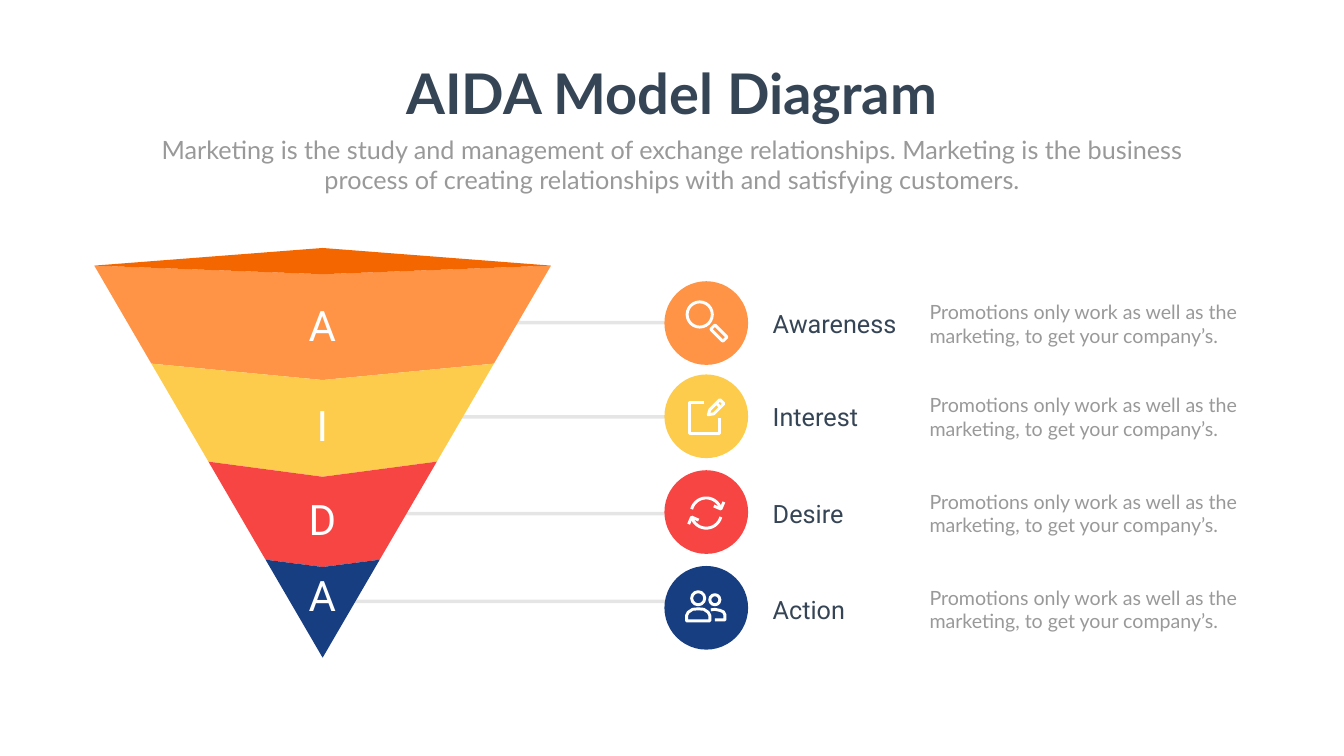
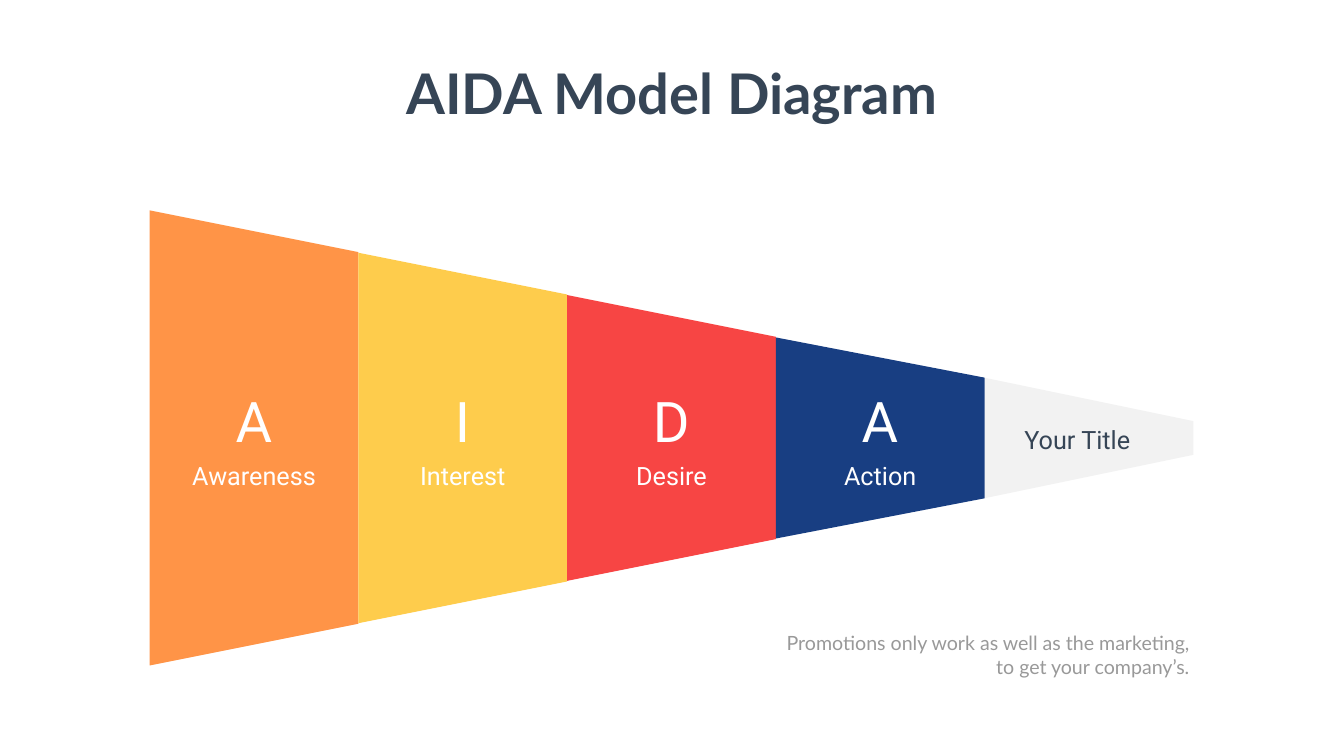
from dataclasses import dataclass
from math import cos, radians, sin
from typing import Callable

from lxml import etree
from pptx import Presentation
from pptx.dml.color import RGBColor
from pptx.enum.shapes import MSO_CONNECTOR, MSO_SHAPE
from pptx.enum.text import MSO_ANCHOR, MSO_AUTO_SIZE, PP_ALIGN
from pptx.oxml.ns import qn
from pptx.util import Inches, Pt

LEFT, CENTER, RIGHT = PP_ALIGN.LEFT, PP_ALIGN.CENTER, PP_ALIGN.RIGHT
TOP = MSO_ANCHOR.TOP
NO_AUTOFIT = MSO_AUTO_SIZE.NONE
OVAL = MSO_SHAPE.OVAL
ROUNDED = MSO_SHAPE.ROUNDED_RECTANGLE
TRAPEZOID = MSO_SHAPE.TRAPEZOID
STRAIGHT = MSO_CONNECTOR.STRAIGHT

# The slide is a grid of square cells, one inch to the side.
COLUMNS, ROWS = 26.66, 15
MIDDLE = COLUMNS / 2
TITLE_ONLY = 5


@dataclass(frozen=True)
class Theme:
    orange: str = "FF9447"
    dark_orange: str = "F46600"
    yellow: str = "FECC4C"
    red: str = "F74544"
    navy: str = "183E82"
    gray: str = "808080"
    ink: str = "364556"
    muted: str = "999999"
    white: str = "FFFFFF"
    heading_font: str = "Lato"
    label_font: str = "Roboto"
    title: int = 80
    letter: int = 60
    label: int = 36
    detail: int = 28
    leader_width: float = 5
    icon_width: float = 4.2


THEME = Theme()
TITLE = "AIDA Model Diagram"
INTRO = ("Marketing is the study and management of exchange relationships. Marketing is the "
         "business process of creating relationships with and satisfying customers.")
DETAIL = "Promotions only work as well as the marketing, to get your company’s."


def cells(count):
    return Inches(count)


def rgb(color):
    return RGBColor.from_string(color)


def set_opacity(shape, percent):
    for color in shape.element.iter(qn("a:srgbClr")):
        etree.SubElement(color, qn("a:alpha")).set("val", str(percent * 1000))


def paint(shape, color):
    shape.shadow.inherit = False
    shape.fill.solid()
    shape.fill.fore_color.rgb = rgb(color)
    shape.line.fill.background()


def outline(shape):
    """Leave only the white stroke that icons are drawn with."""
    shape.shadow.inherit = False
    shape.fill.background()
    shape.line.color.rgb = rgb(THEME.white)
    shape.line.width = Pt(THEME.icon_width)


def centered_shape(slide, kind, x, y, width, height):
    return slide.shapes.add_shape(kind, cells(x - width / 2), cells(y - height / 2),
                                  cells(width), cells(height))


def path_shape(slide, points, closed=True):
    corners = [(cells(x), cells(y)) for x, y in points]
    builder = slide.shapes.build_freeform(*corners[0])
    builder.add_line_segments(corners[1:], close=closed)
    return builder.convert_to_shape()


def style_text(frame, text, size, color, font, align):
    frame.text = text
    paragraph = frame.paragraphs[0]
    paragraph.alignment = align
    paragraph.font.size = Pt(size)
    paragraph.font.name = font
    paragraph.font.color.rgb = rgb(color)
    return paragraph


def add_text(slide, text, left, y, width, height, size, color,
             font=THEME.label_font, align=LEFT):
    """Add a text box whose vertical middle is at y."""
    box = slide.shapes.add_textbox(cells(left), cells(y - height / 2),
                                   cells(width), cells(height))
    box.text_frame.word_wrap = True
    style_text(box.text_frame, text, size, color, font, align)


def add_letter(slide, text, x, y, size):
    height = size / 60 + 0.11
    add_text(slide, text, x - 0.98, y, 1.95, height, size, THEME.white, align=CENTER)


def add_label(slide, text, left, y, color, align=LEFT):
    add_text(slide, text, left, y, 3.46, 0.71, THEME.label, color, align=align)


def add_detail(slide, left, y, width, align=LEFT):
    add_text(slide, DETAIL, left, y, width, 1.04, THEME.detail, THEME.muted,
             THEME.heading_font, align)


def titled_slide(deck):
    slide = deck.slides.add_slide(deck.slide_layouts[TITLE_ONLY])
    title = slide.shapes.title
    width = 10.94
    title.left, title.top = cells(MIDDLE - width / 2), cells(1.12)
    title.width, title.height = cells(width), cells(1.45)
    frame = title.text_frame
    frame.auto_size = NO_AUTOFIT
    frame.word_wrap = False
    frame.vertical_anchor = TOP
    style_text(frame, TITLE, THEME.title, THEME.ink,
               THEME.heading_font, CENTER).font.bold = True
    return slide


# Icons: all offsets are measured from the middle of the disc.

def add_ring(slide, x, y, radius):
    outline(centered_shape(slide, OVAL, x, y, 2 * radius, 2 * radius))


def add_stroke(slide, x, y, offsets, closed=False):
    outline(path_shape(slide, [(x + dx, y + dy) for dx, dy in offsets], closed))


def magnifier_icon(slide, x, y):
    add_ring(slide, x - 0.13, y - 0.17, 0.25)
    handle = centered_shape(slide, ROUNDED, x + 0.25, y + 0.2, 0.34, 0.12)
    handle.rotation = 45
    outline(handle)


def edit_icon(slide, x, y):
    page = [(-0.04, -0.27), (-0.34, -0.27), (-0.34, 0.35), (0.27, 0.35), (0.27, 0.04)]
    pencil = [(0.04, -0.03), (0.07, -0.13), (0.27, -0.33), (0.35, -0.25), (0.15, -0.05)]
    add_stroke(slide, x, y, page)
    add_stroke(slide, x, y, pencil, closed=True)
    add_stroke(slide, x, y, [(0.2, -0.26), (0.28, -0.18)])


def refresh_icon(slide, x, y):
    arc = [(0.3 * cos(radians(a)), 0.3 * sin(radians(a))) for a in range(195, 346, 10)]
    head = [(0.15, -0.14), (0.29, -0.08), (0.35, -0.22)]
    for turn in (1, -1):
        for offsets in (arc, head):
            add_stroke(slide, x, y + 0.02, [(turn * dx, turn * dy) for dx, dy in offsets])


def people_icon(slide, x, y):
    add_ring(slide, x - 0.16, y - 0.19, 0.13)
    add_ring(slide, x + 0.17, y - 0.16, 0.1)
    half = [(0.23, 0.26), (0.23, 0.15), (0.2, 0.09), (0.11, 0.03), (0, 0.02)]
    front = [(-dx, dy) for dx, dy in half] + half[-2::-1]
    back = [(0.09, 0.04), (0.17, 0.03), (0.27, 0.05), (0.34, 0.08),
            (0.37, 0.14), (0.37, 0.24), (0.17, 0.24)]
    add_stroke(slide, x - 0.16, y, front, closed=True)
    add_stroke(slide, x, y, back)


@dataclass(frozen=True)
class Stage:
    letter: str
    name: str
    color: str
    icon: Callable
    letter_y: float
    leader_y: float
    disc_y: float
    label_y: float


STAGES = [
    Stage("A", "Awareness", THEME.orange, magnifier_icon, 6.45, 6.4, 6.41, 6.43),
    Stage("I", "Interest", THEME.yellow, edit_icon, 8.43, 8.27, 8.26, 8.27),
    Stage("D", "Desire", THEME.red, refresh_icon, 10.3, 10.19, 10.16, 10.19),
    Stage("A", "Action", THEME.navy, people_icon, 11.8, 11.93, 12.06, 12.09),
]


def add_leader(slide, start, end, y):
    leader = slide.shapes.add_connector(STRAIGHT, cells(start), cells(y), cells(end), cells(y))
    leader.line.color.rgb = rgb(THEME.gray)
    leader.line.width = Pt(THEME.leader_width)
    set_opacity(leader, 20)
    etree.SubElement(leader.element.spPr, qn("a:effectLst"))


def add_funnel(slide, axis):
    """Draw the inverted pyramid: bands of equal height, each with a folded edge."""
    half, rim, tip = 4.53, 5.27, 13.05
    folds = [5.44, 7.54, 9.46, 11.25, tip]
    count = len(STAGES)
    edges = [(half * (1 - k / count), rim + (tip - rim) * k / count) for k in range(count + 1)]
    for k, stage in enumerate(STAGES):
        (upper, upper_y), (lower, lower_y) = edges[k:k + 2]
        band = [(axis - upper, upper_y), (axis, folds[k]), (axis + upper, upper_y),
                (axis + lower, lower_y), (axis, folds[k + 1]), (axis - lower, lower_y)]
        paint(path_shape(slide, band), stage.color)
    lid = [(axis - half, rim), (axis, 4.92), (axis + half, rim), (axis, folds[0])]
    paint(path_shape(slide, lid), THEME.dark_orange)


def build_pyramid_slide(deck):
    slide = titled_slide(deck)
    add_text(slide, INTRO, 2.92, 3.27, 20.82, 1.31, THEME.label, THEME.muted,
             THEME.heading_font, CENTER)
    axis, disc_x = 6.4, 14.01
    for stage in STAGES:
        add_leader(slide, axis, 13.58, stage.leader_y)
    add_funnel(slide, axis)
    for stage in STAGES:
        add_letter(slide, stage.letter, axis, stage.letter_y, THEME.letter)
        paint(centered_shape(slide, OVAL, disc_x, stage.disc_y, 1.66, 1.66), stage.color)
        stage.icon(slide, disc_x, stage.disc_y)
        add_label(slide, stage.name, 15.23, stage.label_y, THEME.ink)
        add_detail(slide, 18.34, stage.label_y, 6.45)


def add_segment(slide, x, y, width, height, color, taper=0.2):
    """Add a trapezoid lying on its side, with the wide end to the left."""
    segment = centered_shape(slide, TRAPEZOID, x, y, height, width)
    segment.rotation = 90
    segment.adjustments[0] = taper
    paint(segment, color)
    return segment


def build_horizontal_slide(deck):
    slide = titled_slide(deck)
    first_x, axis, pitch, tallest, step = 5.04, 8.69, 4.14, 9.03, 1.68
    for k, stage in enumerate(STAGES):
        x = first_x + k * pitch
        add_segment(slide, x, axis, pitch, tallest - k * step, stage.color)
        add_letter(slide, stage.letter, x, 8.35, THEME.title)
        add_label(slide, stage.name, x - 1.73, 9.43, THEME.white, CENTER)
    outlet = add_segment(slide, first_x + len(STAGES) * pitch, axis, pitch, 2.39,
                         THEME.gray, 0.36)
    set_opacity(outlet, 10)
    add_label(slide, "Your Title", 19.64, 8.72, THEME.ink, CENTER)
    add_detail(slide, 15.2, 12.99, 8.49, RIGHT)


def main():
    deck = Presentation()
    deck.slide_width, deck.slide_height = cells(COLUMNS), cells(ROWS)
    build_pyramid_slide(deck)
    build_horizontal_slide(deck)
    deck.save("out.pptx")


if __name__ == "__main__":
    main()
